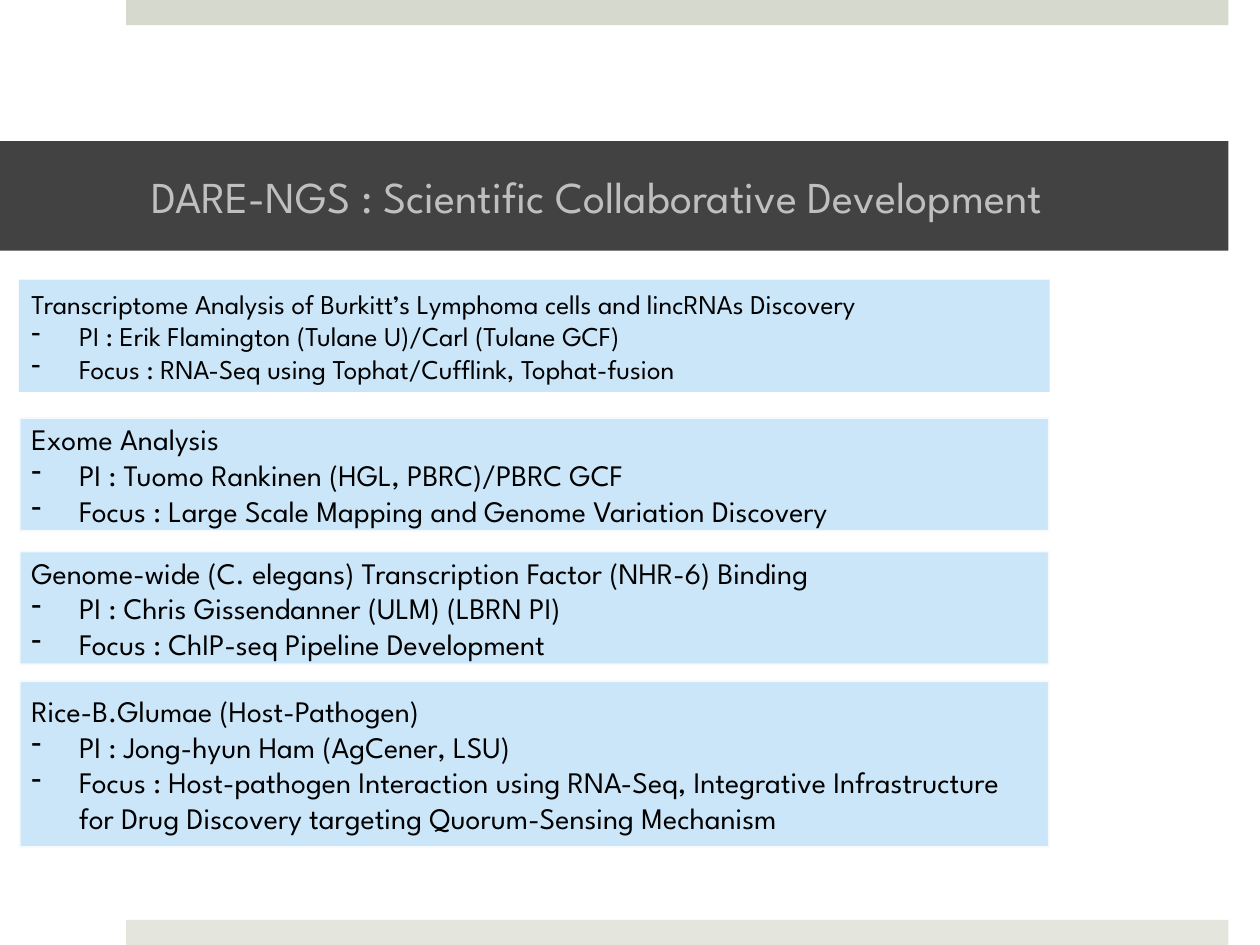
from lxml.etree import SubElement
from pptx import Presentation
from pptx.dml.color import RGBColor
from pptx.enum.shapes import MSO_SHAPE as Shape
from pptx.enum.text import MSO_ANCHOR as Anchor, PP_ALIGN as Align
from pptx.oxml.ns import qn
from pptx.util import Inches, Pt

FONT = "League Spartan"
COLORS = {
    "top": "D6D9CD",
    "foot": "E4E6DE",
    "band": "424242",
    "title": "BFBFBF",
    "card": "CBE6F9",
    "edge": "FFFFFF",
    "text": "000000",
}
CARDS = [
    (2.22, 0.89, 15.5, False,
     "Transcriptome Analysis of Burkitt’s Lymphoma cells and lincRNAs Discovery",
     "PI : Erik Flamington (Tulane U)/Carl (Tulane GCF)",
     "Focus : RNA-Seq using Tophat/Cufflink, Tophat-fusion"),
    (3.31, 0.91, 17, True,
     "Exome Analysis",
     "PI : Tuomo Rankinen (HGL, PBRC)/PBRC GCF",
     "Focus : Large Scale Mapping and Genome Variation Discovery"),
    (4.37, 0.91, 17, True,
     "Genome-wide (C. elegans) Transcription Factor (NHR-6) Binding",
     "PI : Chris Gissendanner (ULM) (LBRN PI)",
     "Focus : ChIP-seq Pipeline Development"),
    (5.4, 1.33, 17, True,
     "Rice-B.Glumae (Host-Pathogen)",
     "PI : Jong-hyun Ham (AgCener, LSU)",
     "Focus : Host-pathogen Interaction using RNA-Seq, Integrative Infrastructure "
     "for Drug Discovery targeting Quorum-Sensing Mechanism"),
]


def color(name):
    """Return the named colour."""
    return RGBColor.from_string(COLORS[name])


def add_rect(slide, box, fill):
    """Add a plain filled rectangle."""
    rect = slide.shapes.add_shape(Shape.RECTANGLE, *map(Inches, box))
    rect.shadow.inherit = False
    rect.fill.solid()
    rect.fill.fore_color.rgb = color(fill)
    rect.line.fill.background()
    return rect


def add_edge(rect):
    """Give a rectangle a slightly clear white outline."""
    rect.line.color.rgb = color("edge")
    rect.line.width = Pt(2)
    tone = rect.line._ln.find(".//" + qn("a:srgbClr"))
    SubElement(tone, qn("a:alpha"), val="80000")


def add_dash(para):
    """Give a paragraph a hanging dash bullet."""
    props = para._p.get_or_add_pPr()
    props.set("marL", str(Inches(0.38)))
    props.set("indent", str(-Inches(0.38)))
    SubElement(props, qn("a:buFontTx"))
    SubElement(props, qn("a:buChar"), char="-")


def set_font(para, size, tone):
    """Set a paragraph's font and left alignment."""
    para.alignment = Align.LEFT
    para.font.name = FONT
    para.font.size = Pt(size)
    para.font.color.rgb = color(tone)


def add_title(slide, box, text):
    """Add the dark title band."""
    frame = add_rect(slide, box, "band").text_frame
    frame.word_wrap = True
    frame.vertical_anchor = Anchor.MIDDLE
    frame.margin_left, frame.margin_right = Inches(1.2), Inches(0.3)
    para = frame.paragraphs[0]
    para.text = text
    set_font(para, 25.2, "title")


def add_card(slide, box, size, edged, head, points):
    """Add a project card with a heading and dashed points."""
    rect = add_rect(slide, box, "card")
    if edged:
        add_edge(rect)
    frame = rect.text_frame
    frame.word_wrap = True
    frame.vertical_anchor = Anchor.MIDDLE
    frame.text = "\n".join([head, *points])
    for para in frame.paragraphs[1:]:
        add_dash(para)
    for para in frame.paragraphs:
        set_font(para, size, "text")


def main():
    """Build and save the slide."""
    deck = Presentation()
    deck.slide_width, deck.slide_height = Inches(10), Inches(7.5)
    slide = deck.slides.add_slide(deck.slide_layouts[6])
    add_rect(slide, (1, 0, 8.75, 0.2), "top")
    add_rect(slide, (1, 7.3, 8.75, 0.2), "foot")
    add_title(slide, (0, 1.12, 9.75, 0.87),
              "DARE-NGS : Scientific Collaborative Development")
    for top, height, size, edged, head, *points in CARDS:
        add_card(slide, (0.15, top, 8.18, height), size, edged, head, points)
    deck.save("out.pptx")


if __name__ == "__main__":
    main()
